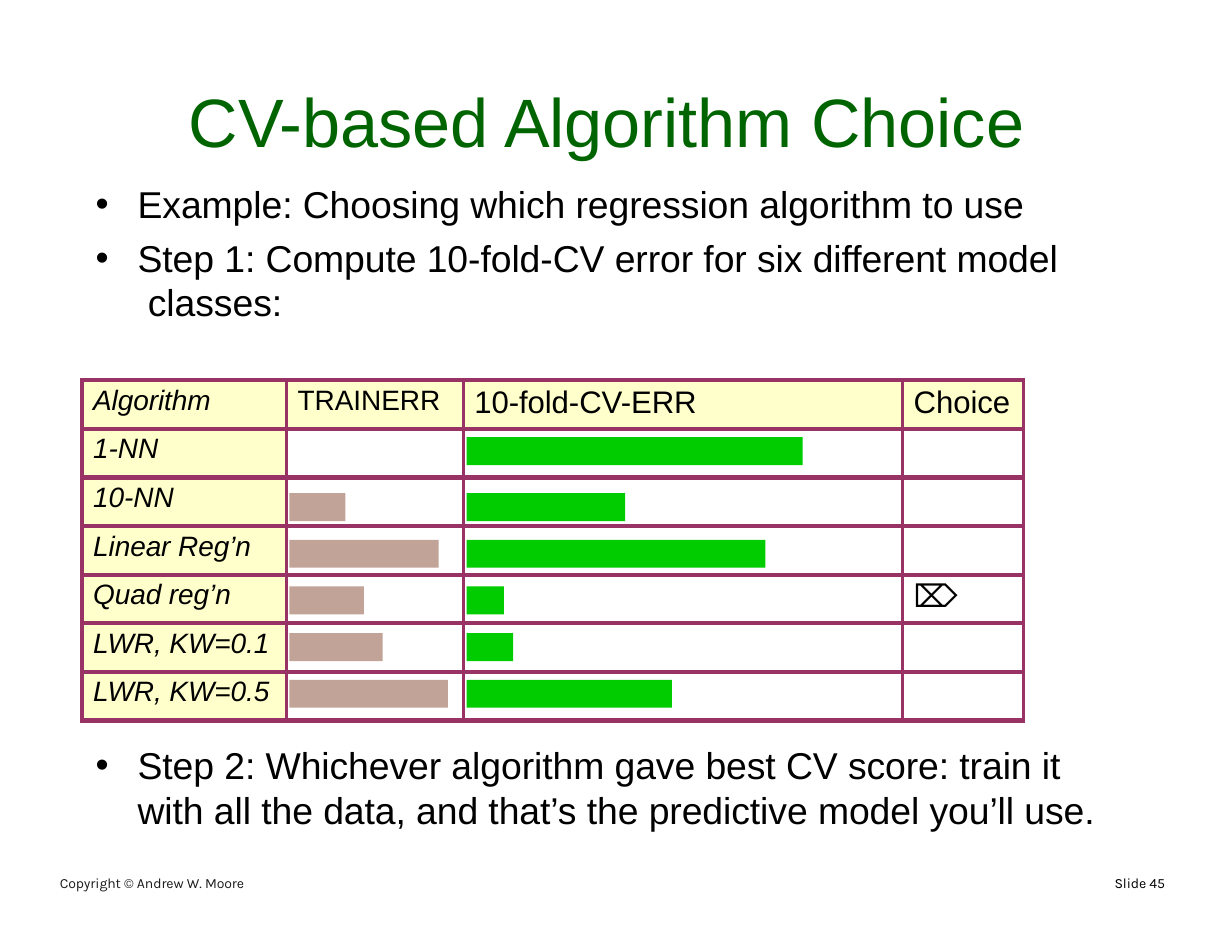
from lxml.etree import SubElement
from pptx import Presentation
from pptx.dml.color import RGBColor
from pptx.enum.shapes import MSO_SHAPE
from pptx.enum.text import MSO_ANCHOR
from pptx.oxml.ns import qn
from pptx.util import Pt

# Content
TITLE = "CV-based Algorithm Choice"
STEPS_BEFORE = [
    "Example: Choosing which regression algorithm to use",
    "Step 1: Compute 10-fold-CV error for six different model\n classes:",
]
STEPS_AFTER = [
    "Step 2: Whichever algorithm gave best CV score: train it "
    "with all the data, and that’s the predictive model you’ll use.",
]
COPYRIGHT = "Copyright © Andrew W. Moore"
SLIDE_NUMBER = "Slide 45"
HEADERS = [("Algorithm", 18), ("TRAINERR", 18), ("10-fold-CV-ERR", 20), ("Choice", 20)]
# Algorithm, training error bar, cross-validation error bar (points), choice
ALGORITHMS = [
    ("1-NN", 0, 216, ""),
    ("10-NN", 36, 102, ""),
    ("Linear Reg’n", 96, 192, ""),
    ("Quad reg’n", 48, 24, "⌦"),
    ("LWR, KW=0.1", 60, 30, ""),
    ("LWR, KW=0.5", 102, 132, ""),
]

# Look
BLACK, GREEN, BORDER, CREAM = "000000", "006500", "993366", "FFFFCC"
TRAIN_BAR, CV_BAR = "C2A398", "00CC00"
COLUMN_WIDTHS = [131.5, 113.5, 282.5, 78]
ROW_HEIGHT = 31.25
TABLE_LEFT, TABLE_TOP = 52.7, 244.5
TRAIN_LEFT, CV_LEFT = 186, 300
FIRST_BAR_TOP, SECOND_BAR_TOP, BAR_STEP, BAR_HEIGHT = 281, 317, 30, 18


def color(value):
    return RGBColor.from_string(value)


def add_run(paragraph, text, size, value=BLACK, font="Arial", italic=False):
    run = paragraph.add_run()
    run.text = text
    run.font.size = Pt(size)
    run.font.name = font
    run.font.italic = italic
    run.font.color.rgb = color(value)
    run._r.get_or_add_rPr().set("spc", "-5")


def set_frame(frame, top_inset):
    frame.word_wrap = True
    frame.vertical_anchor = MSO_ANCHOR.TOP
    frame.margin_left = frame.margin_right = frame.margin_bottom = 0
    frame.margin_top = Pt(top_inset)


def add_text_box(left, top, width, height, top_inset=1):
    box = slide.shapes.add_textbox(Pt(left), Pt(top), Pt(width), Pt(height))
    set_frame(box.text_frame, top_inset)
    return box.text_frame


def add_bullets(frame, items, spaces):
    for index, (item, space) in enumerate(zip(items, spaces)):
        paragraph = frame.add_paragraph() if index else frame.paragraphs[0]
        paragraph.space_before = Pt(space)
        properties = paragraph._p.get_or_add_pPr()
        properties.set("marL", str(Pt(28)))
        properties.set("indent", str(-Pt(27)))
        SubElement(properties, qn("a:buFont"), typeface="Arial")
        SubElement(properties, qn("a:buChar"), char="•")
        for number, line in enumerate(item.split("\n")):
            if number:
                paragraph.add_line_break()
            add_run(paragraph, line, 24)


def add_small_text(left, width, text, value):
    paragraph = add_text_box(left, 561, width, 13).paragraphs[0]
    paragraph.space_before = Pt(1)
    add_run(paragraph, text, 9, value, "Karla")


def set_borders(cell, is_first_column):
    properties = cell._tc.get_or_add_tcPr()
    widths = {"L": 3 if is_first_column else 2.25, "R": 2.25, "T": 3, "B": 3}
    for index, (side, width) in enumerate(widths.items()):
        line = SubElement(properties, qn(f"a:ln{side}"), w=str(Pt(width)))
        fill = SubElement(line, qn("a:solidFill"))
        SubElement(fill, qn("a:srgbClr"), val=BORDER)
        properties.insert(index, line)


def fill_cell(cell, text, size, italic, shaded, is_first_column):
    cell.margin_left = cell.margin_right = cell.margin_bottom = 0
    cell.margin_top = Pt(3)
    if shaded:
        cell.fill.solid()
        cell.fill.fore_color.rgb = color(CREAM)
    else:
        cell.fill.background()
    set_borders(cell, is_first_column)
    if text:
        paragraph = cell.text_frame.paragraphs[0]
        paragraph.space_before = Pt(3)
        paragraph._p.get_or_add_pPr().set("marL", str(Pt(7.2)))
        add_run(paragraph, text, size, italic=italic)


def add_bar(left, top, width, value):
    bar = slide.shapes.add_shape(
        MSO_SHAPE.RECTANGLE, Pt(left), Pt(top), Pt(width), Pt(BAR_HEIGHT))
    bar.shadow.inherit = False
    bar.fill.solid()
    bar.fill.fore_color.rgb = color(value)
    bar.line.fill.background()


presentation = Presentation()
presentation.slide_width, presentation.slide_height = Pt(792), Pt(612)
slide = presentation.slides.add_slide(presentation.slide_layouts[5])

# Title
title = slide.shapes.title
title.left, title.top, title.width, title.height = Pt(117.5), Pt(50), Pt(545), Pt(55)
set_frame(title.text_frame, 1)
title_paragraph = title.text_frame.paragraphs[0]
title_paragraph.space_before = Pt(1)
add_run(title_paragraph, TITLE, 44, GREEN)

# Table
table = slide.shapes.add_table(
    len(ALGORITHMS) + 1, len(HEADERS), Pt(TABLE_LEFT), Pt(TABLE_TOP),
    Pt(sum(COLUMN_WIDTHS)), Pt(ROW_HEIGHT * (len(ALGORITHMS) + 1))).table
table.first_row = table.horz_banding = False
for column, width in zip(table.columns, COLUMN_WIDTHS):
    column.width = Pt(width)
rows = [HEADERS] + [
    [(name, 18), ("", 18), ("", 18), (choice, 20)] for name, _, _, choice in ALGORITHMS]
for row_index, row in enumerate(rows):
    table.rows[row_index].height = Pt(ROW_HEIGHT)
    for column_index, (text, size) in enumerate(row):
        is_name = column_index == 0
        fill_cell(table.cell(row_index, column_index), text, size,
                  is_name, is_name or row_index == 0, is_name)

# Error bars
for index, (_, train_width, cv_width, _) in enumerate(ALGORITHMS):
    bar_top = SECOND_BAR_TOP + (index - 1) * BAR_STEP if index else FIRST_BAR_TOP
    for left, width, value in ((TRAIN_LEFT, train_width, TRAIN_BAR),
                               (CV_LEFT, cv_width, CV_BAR)):
        if width:
            add_bar(left, bar_top, width, value)

# Steps and footer
add_bullets(add_text_box(60.5, 110, 624, 100, 6.5), STEPS_BEFORE, [6.7, 5.7])
add_bullets(add_text_box(60.5, 476, 648, 60), STEPS_AFTER, [1])
add_small_text(38.5, 125, COPYRIGHT, "1B1B1B")
add_small_text(716.5, 35, SLIDE_NUMBER, BLACK)

presentation.save("out.pptx")
